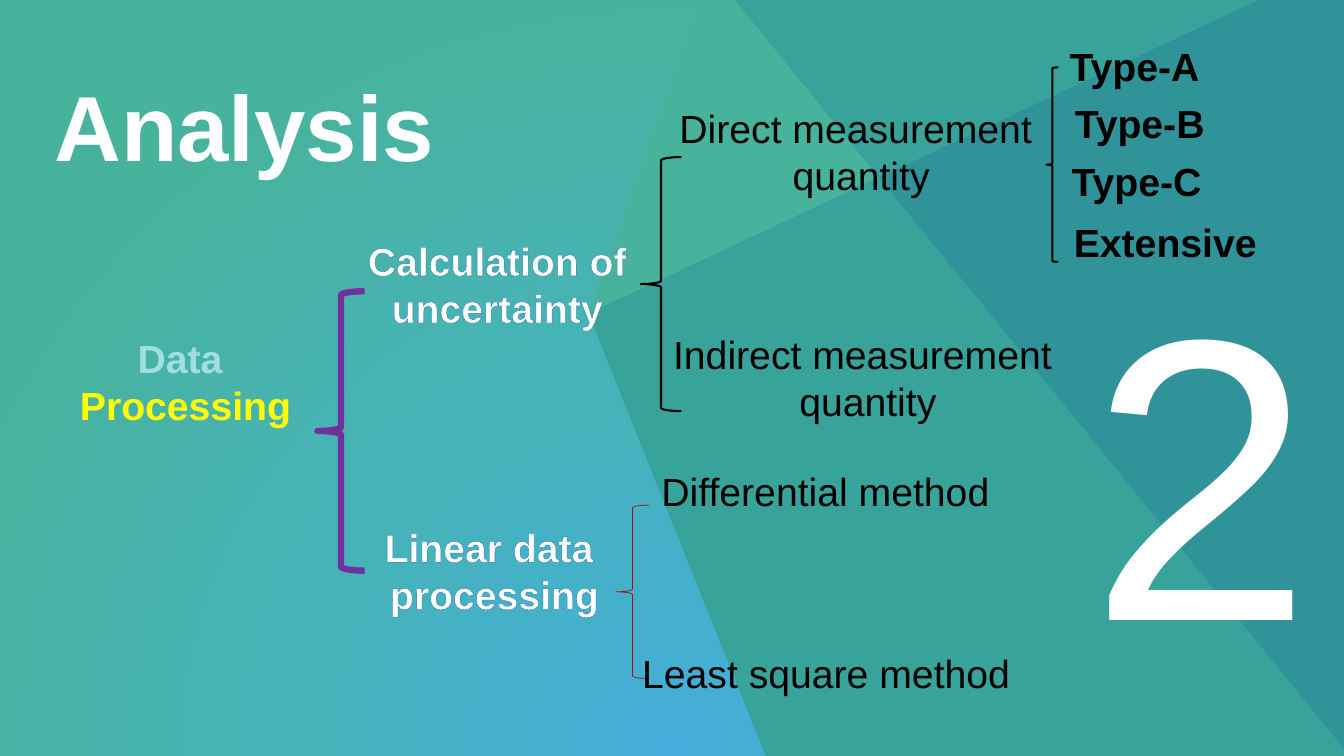
from lxml import etree
from pptx import Presentation
from pptx.dml.color import RGBColor
from pptx.enum.shapes import MSO_SHAPE
from pptx.enum.text import MSO_ANCHOR, MSO_AUTO_SIZE, PP_ALIGN
from pptx.oxml.ns import qn
from pptx.util import Cm, Pt

BRACE = MSO_SHAPE.LEFT_BRACE
TOP, MIDDLE, BOTTOM = MSO_ANCHOR.TOP, MSO_ANCHOR.MIDDLE, MSO_ANCHOR.BOTTOM
LEFT, CENTER = PP_ALIGN.LEFT, PP_ALIGN.CENTER
GROW, FIXED = MSO_AUTO_SIZE.SHAPE_TO_FIT_TEXT, MSO_AUTO_SIZE.NONE

FONT = "Arial"
BLACK, WHITE = "000000", "FFFFFF"
GREEN, TEAL, DEEP, BLUE = "48B39D", "38A39A", "31939A", "2E75B6"

# Corners of the backdrop panels, in cm
HUB = (22.15, 4.47)
WEST = (14.83, 7.9)
EDGE = (18.52, 0)
NORTH = (31.72, 0)
EAST = (33.87, 18.87)
PANELS = [
    (GREEN, [HUB, WEST, (17.6, 0), EDGE]),
    (TEAL, [HUB, EAST, (33.87, 19.05), (19.3, 19.05), (18.95, 18.19), WEST]),
    (TEAL, [HUB, EDGE, NORTH]),
    (DEEP, [NORTH, (33.87, 0), EAST, HUB]),
]

# Box in cm, line colour, line width
BRACES = [
    ((8, 7.34, 1.19, 7.04), "7030A0", 4.5),
    ((15.52, 12.73, 0.84, 4.37), "C00000", 0.5),
    ((16.15, 3.96, 1.02, 6.4), BLACK, 1.5),
    ((26.37, 1.7, 0.3, 4.9), BLACK, 1.5),
]

# Left, top and width in cm of the four kinds of uncertainty
TYPES = [
    ("Type-A", 26.67, 0.03, 4.37),
    ("Type-B", 26.8, 1.47, 4.37),
    ("Type-C", 26.72, 2.92, 4.37),
    ("Extensive", 26.77, 4.45, 5.72),
]


def color(code):
    return RGBColor.from_string(code)


def add_back(slide):
    """Radial gradient that starts below the slide."""
    fill = slide.background.fill
    fill.gradient()
    grad = slide.background._cSld.find(".//" + qn("a:gradFill"))
    for node in list(grad):
        grad.remove(node)
    stops = etree.SubElement(grad, qn("a:gsLst"))
    for pos, code in [(0, "44ADDB"), (46, "46B3BB"), (100, GREEN)]:
        stop = etree.SubElement(stops, qn("a:gs"), pos=str(pos * 1000))
        etree.SubElement(stop, qn("a:srgbClr"), val=code)
    path = etree.SubElement(grad, qn("a:path"), path="circle")
    etree.SubElement(path, qn("a:fillToRect"),
                     l="50000", t="130000", r="50000", b="-30000")


def add_panel(slide, code, points):
    first, *rest = [(Cm(x), Cm(y)) for x, y in points]
    form = slide.shapes.build_freeform(*first)
    form.add_line_segments(rest, close=True)
    panel = form.convert_to_shape()
    panel.shadow.inherit = False
    panel.fill.solid()
    panel.fill.fore_color.rgb = color(code)
    panel.line.fill.background()


def add_brace(slide, box, code, width):
    brace = slide.shapes.add_shape(BRACE, *map(Cm, box))
    brace.shadow.inherit = False
    brace.fill.background()
    brace.line.color.rgb = color(code)
    brace.line.width = Pt(width)


def set_font(run, size, code, bold, edge):
    font = run.font
    font.name, font.size, font.bold = FONT, Pt(size), bold
    font.color.rgb = color(code)
    if edge:
        tint, width = edge
        line = etree.Element(qn("a:ln"), w=str(Pt(width)))
        fill = etree.SubElement(line, qn("a:solidFill"))
        etree.SubElement(fill, qn("a:srgbClr"), val=tint)
        font._element.insert(0, line)


def add_text(slide, box, text, size=28, code=BLACK, bold=False, edge=None,
             wrap=False, align=CENTER, anchor=TOP, fit=GROW, tail=None):
    """Text box; tail is the size of a closing space that sets line height."""
    frame = slide.shapes.add_textbox(*map(Cm, box)).text_frame
    frame.text = text
    frame.word_wrap = wrap
    frame.auto_size = fit
    frame.vertical_anchor = anchor
    for para in frame.paragraphs:
        para.alignment = align
        for run in para.runs:
            set_font(run, size, code, bold, edge)
    if tail:
        run = frame.paragraphs[-1].add_run()
        run.text = " "
        set_font(run, tail, code, bold, edge)
    return frame


def main():
    deck = Presentation()
    deck.slide_width, deck.slide_height = Cm(33.87), Cm(19.05)
    slide = deck.slides.add_slide(deck.slide_layouts[6])

    # Backdrop
    add_back(slide)
    for code, points in PANELS:
        add_panel(slide, code, points)

    # Title and section number
    title = add_text(slide, (1.12, -0.1, 25.37, 4.8), "Analysis", 66, WHITE,
                     True, wrap=True, align=LEFT, anchor=BOTTOM, fit=FIXED)
    title.paragraphs[0].line_spacing = 0.9
    add_text(slide, (26.59, 5.64, 7.39, 11.91), "2", 287, WHITE,
             wrap=True, anchor=MIDDLE, fit=FIXED)

    # Braces of the tree
    for box, code, width in BRACES:
        add_brace(slide, box, code, width)

    # Root
    root = add_text(slide, (1.73, 8.31, 5.89, 2.64), "Data \nProcessing",
                    code="A2DDE1", bold=True, edge=(DEEP, 1.75))
    root.paragraphs[1].runs[0].font.color.rgb = color("FFFF00")

    # Main branches
    add_text(slide, (6.88, 5.84, 11.3, 1.45), "Calculation of uncertainty",
             code=WHITE, bold=True, edge=(BLUE, 4), wrap=True)
    add_text(slide, (9.4, 13.06, 6.12, 2.64), "Linear data \nprocessing",
             code=WHITE, bold=True, edge=(BLUE, 4))

    # Quantities and methods
    add_text(slide, (16.81, 2.51, 9.78, 2.64),
             "Direct measurement \nquantity")
    add_text(slide, (16.64, 8.2, 10.46, 2.64),
             "Indirect measurement \nquantity")
    add_text(slide, (16.33, 11.66, 8.94, 1.45), "Differential method")
    add_text(slide, (15.01, 14.68, 12.32, 3.33), "Least square method",
             wrap=True, tail=72)

    # Kinds of uncertainty
    for name, left, top, width in TYPES:
        add_text(slide, (left, top, width, 2.57), name, bold=True,
                 edge=(WHITE, 0.75), tail=54)

    deck.save("out.pptx")


if __name__ == "__main__":
    main()
